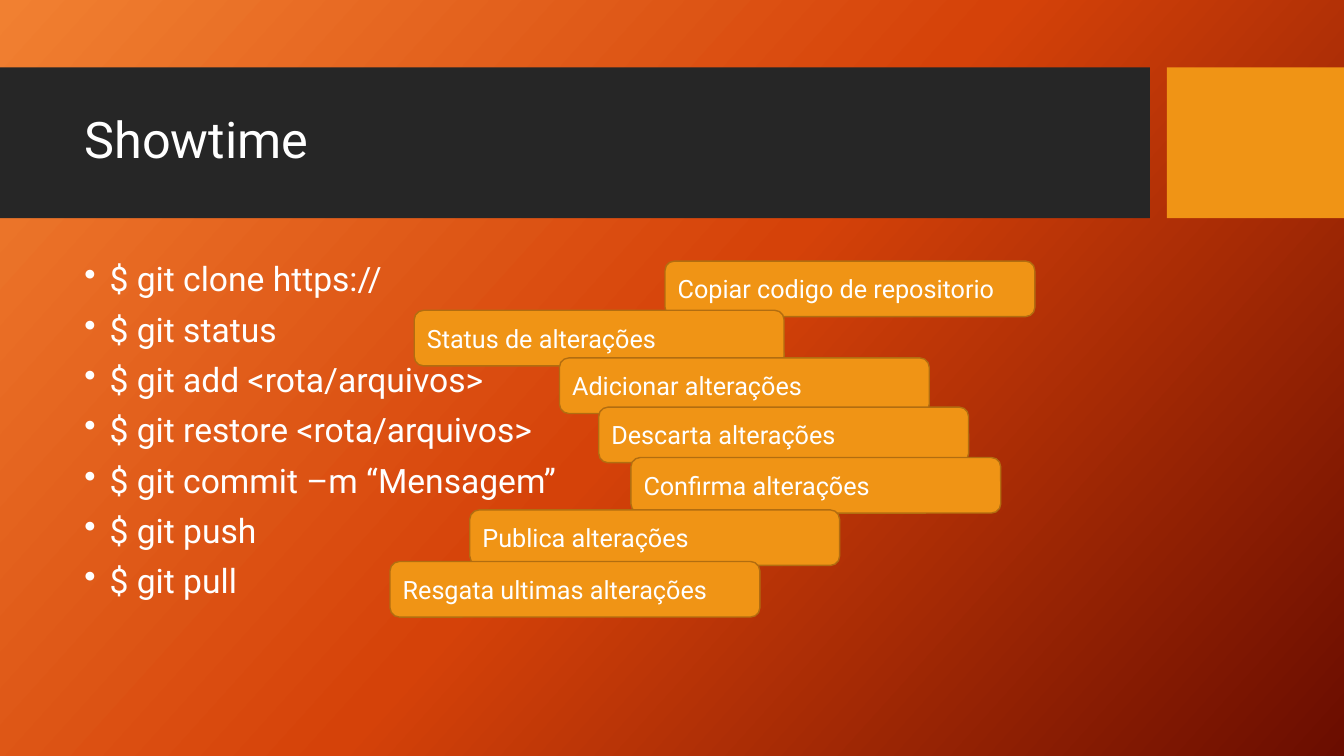
from copy import deepcopy
from dataclasses import dataclass
from lxml import etree
from pptx import Presentation
from pptx import util as u
from pptx.dml.color import RGBColor
from pptx.enum import shapes, text
from pptx.oxml.ns import qn


@dataclass
class Theme:
    font: str = "Roboto"
    white: str = "FFFFFF"
    dark: str = "262626"
    gold: str = "F09415"
    edge: str = "B26D10"
    glow: tuple = ((0, "F18031"), (0.5, "D54209"), (1, "6A0D00"))
    title: int = 36
    body: int = 24
    tag: int = 18


theme = Theme()
rgb = RGBColor.from_string


def block(kind, left, top, width, height, fill, edge=None):
    box = slide.shapes.add_shape(kind, u.Cm(left), u.Cm(top), u.Cm(width), u.Cm(height))
    box.shadow.inherit = False
    box.fill.solid()
    box.fill.fore_color.rgb = rgb(fill)
    if edge:
        box.line.color.rgb = rgb(edge)
        box.line.width = u.Pt(1)
    else:
        box.line.fill.background()
    return box


def write(words, *, frame, size, anchor=text.MSO_ANCHOR.MIDDLE, space=1.0, before=0, bullet=False):
    frame.word_wrap = True
    frame.vertical_anchor = anchor
    frame.text = words
    for para in frame.paragraphs:
        para.alignment = text.PP_ALIGN.LEFT
        para.line_spacing = space
        para.space_before = u.Pt(before)
        para.font.name = theme.font
        para.font.size = u.Pt(size)
        para.font.color.rgb = rgb(theme.white)
        for run in para.runs:
            run.font.name = theme.font
            run.font.size = u.Pt(size)
            run.font.color.rgb = rgb(theme.white)
        if bullet:
            props = para._p.get_or_add_pPr()
            props.set("marL", str(u.Cm(0.635)))
            props.set("indent", str(-u.Cm(0.635)))
            mark = etree.Element(qn("a:buChar"), char="•")
            props.find(qn("a:defRPr")).addprevious(mark)


deck = Presentation()
deck.slide_width, deck.slide_height = u.Cm(33.87), u.Cm(19.05)
slide = deck.slides.add_slide(deck.slide_layouts[6])

back = slide.background.fill
back.gradient()
back.gradient_angle = 318
first = back.gradient_stops[0]._gs
first.addnext(deepcopy(first))
for stop, (place, color) in zip(back.gradient_stops, theme.glow):
    stop.position = place
    stop.color.rgb = rgb(color)

rect = shapes.MSO_SHAPE.RECTANGLE
block(rect, 0, 1.7, 28.98, 3.8, theme.dark)
block(rect, 29.41, 1.7, 4.46, 3.8, theme.gold)

title = slide.shapes.add_textbox(u.Cm(1.88), u.Cm(2.08), u.Cm(26.7), u.Cm(3))
write("Showtime", frame=title.text_frame, size=theme.title, space=0.9)

steps = [
    ("$ git clone https://", "Copiar codigo de repositorio", 16.76, 6.58),
    ("$ git status", "Status de alterações", 10.44, 7.82),
    ("$ git add <rota/arquivos>", "Adicionar alterações", 14.1, 9.02),
    ("$ git restore <rota/arquivos>", "Descarta alterações", 15.09, 10.26),
    ("$ git commit –m “Mensagem”", "Confirma alterações", 15.9, 11.53),
    ("$ git push", "Publica alterações", 11.84, 12.85),
    ("$ git pull", "Resgata ultimas alterações", 9.83, 14.15),
]

body = slide.shapes.add_textbox(u.Cm(1.88), u.Cm(6.5), u.Cm(25.2), u.Cm(10.16))
write("\n".join(step[0] for step in steps), frame=body.text_frame, size=theme.body,
      anchor=text.MSO_ANCHOR.TOP, space=0.9, before=10, bullet=True)

for _, note, left, top in steps:
    tag = block(shapes.MSO_SHAPE.ROUNDED_RECTANGLE, left, top, 9.32, 1.4, theme.gold, theme.edge)
    write(note, frame=tag.text_frame, size=theme.tag)

deck.save("out.pptx")
